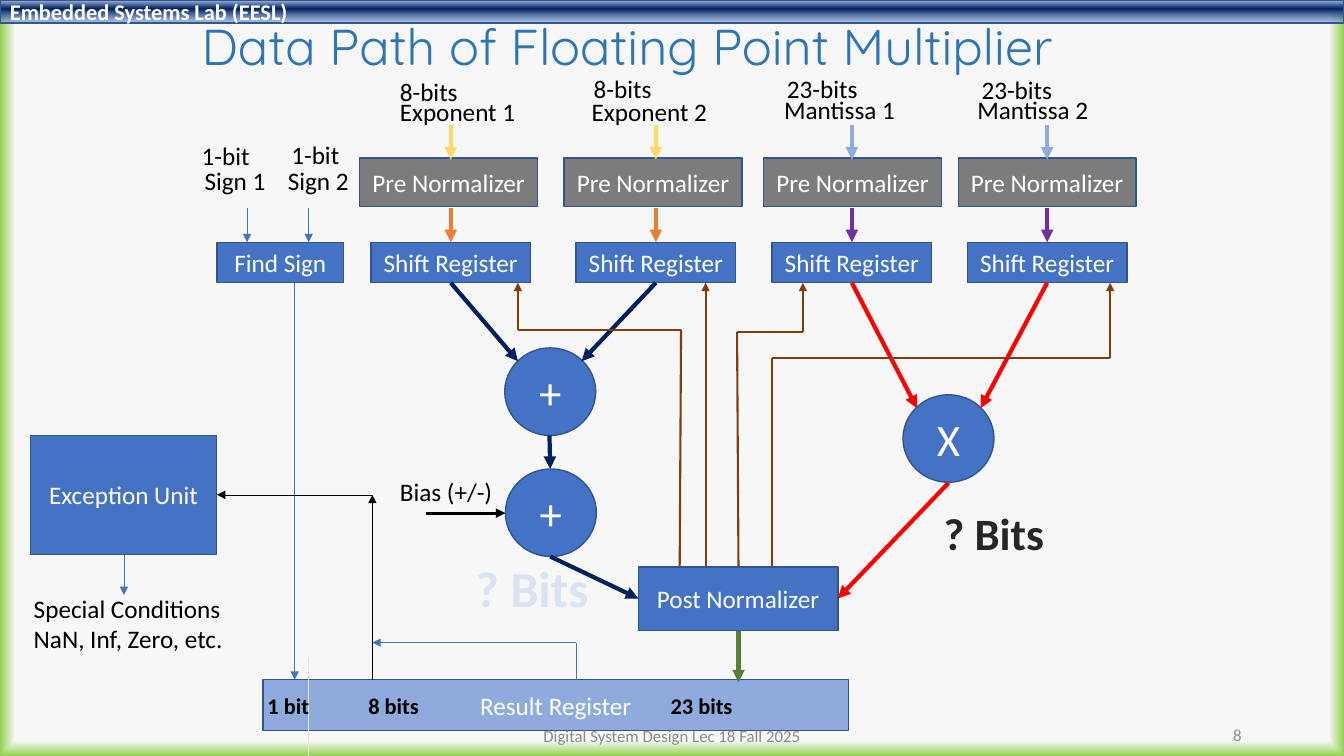
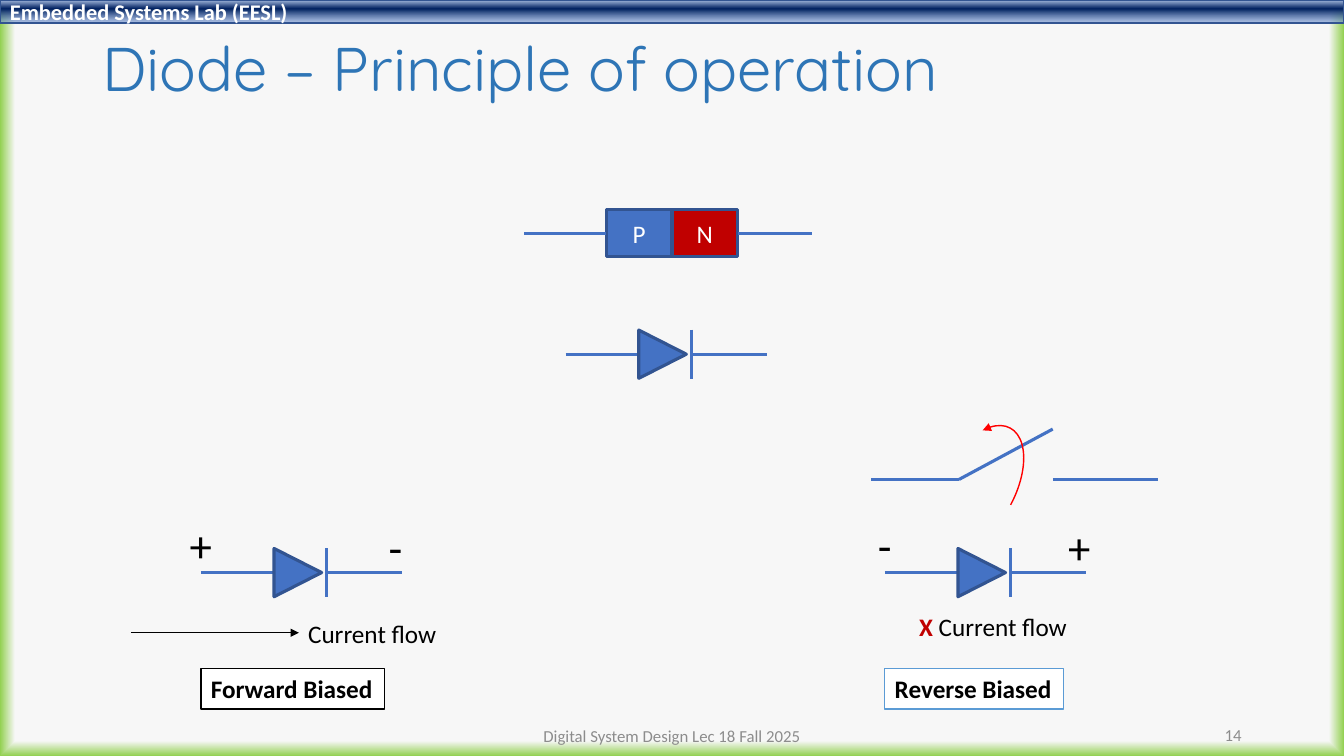
from itertools import pairwise
from typing import NamedTuple

from lxml import etree
from pptx import Presentation
from pptx.dml.color import RGBColor
from pptx.enum.shapes import MSO_CONNECTOR, MSO_SHAPE
from pptx.enum.text import MSO_ANCHOR, PP_ALIGN
from pptx.oxml import parse_xml
from pptx.oxml.ns import nsdecls, qn
from pptx.util import Pt

WIDTH, HEIGHT = 960, 540
BODY_FONT, TITLE_FONT = "Calibri", "Quicksand"

BLACK = RGBColor(0x00, 0x00, 0x00)
WHITE = RGBColor(0xFF, 0xFF, 0xFF)
BLUE = RGBColor(0x44, 0x72, 0xC4)
OUTLINE = RGBColor(0x32, 0x54, 0x91)
TITLE_BLUE = RGBColor(0x2E, 0x75, 0xB6)
SKY = RGBColor(0x5B, 0x9B, 0xD5)
LIGHT_BLUE = RGBColor(0x8F, 0xAA, 0xDC)
PALE_BLUE = RGBColor(0xDA, 0xE3, 0xF3)
NAVY = RGBColor(0x00, 0x20, 0x60)
RED = RGBColor(0xFF, 0x00, 0x00)
DARK_RED = RGBColor(0xC0, 0x00, 0x00)
ORANGE = RGBColor(0xED, 0x7D, 0x31)
YELLOW = RGBColor(0xFF, 0xD9, 0x66)
PURPLE = RGBColor(0x70, 0x30, 0xA0)
GREEN = RGBColor(0x54, 0x82, 0x35)
BROWN = RGBColor(0x84, 0x3C, 0x0B)
GREY = RGBColor(0x7C, 0x7C, 0x7C)
FOOTER_GREY = RGBColor(0x8C, 0x8C, 0x8C)
PALE_GREY = RGBColor(0xE7, 0xE6, 0xE6)
CHARCOAL = RGBColor(0x26, 0x26, 0x26)

# Gradient stops: position in percent, colour, opacity in percent
BACKGROUND_STOPS = ((96, "F7F7F7", 100), (100, "92D050", 100))
BAND_STOPS = ((2, "ABC0E4", 100), (38, "002060", 100), (93, "7E9ED6", 64))
FROM_CENTRE = ('<a:path path="shape"><a:fillToRect l="50000" t="50000" '
               'r="50000" b="50000"/></a:path>')
DOWNWARDS = '<a:lin ang="5400000" scaled="0"/>'


class Operand(NamedTuple):
    """One operand column: where its blocks sit and how its arrows look."""
    centre: float
    normalizer_centre: float
    input_colour: RGBColor
    shift_colour: RGBColor


OPERANDS = (
    Operand(322, 320.5, YELLOW, ORANGE),
    Operand(468.5, 466.5, YELLOW, ORANGE),
    Operand(608.5, 609, LIGHT_BLUE, PURPLE),
    Operand(748, 748, LIGHT_BLUE, PURPLE),
)

DATA_PATH_LABELS = (
    ("Exponent 1", 278.5, 65.5), ("Exponent 2", 415.5, 65.5),
    ("Mantissa 1", 553, 63.5), ("Mantissa 2", 691, 64),
    ("8-bits", 278.5, 51), ("8-bits", 417, 49),
    ("23-bits", 555, 49), ("23-bits", 694, 49.5),
    ("Sign 1", 139, 114.5), ("Sign 2", 198.5, 114.5),
    ("1-bit", 137, 96.5), ("1-bit", 201, 96),
    ("Bias (+/-)", 278.5, 337),
    ("Special Conditions\nNaN, Inf, Zero, etc.", 17, 420),
)


def replace_solid_fill(element, stops, direction):
    """Put a gradient in the place of the first solid fill in element."""
    stop_xml = "".join(
        f'<a:gs pos="{position * 1000}"><a:srgbClr val="{colour}">'
        f'<a:alpha val="{opacity * 1000}"/></a:srgbClr></a:gs>'
        for position, colour, opacity in stops)
    gradient = parse_xml(f'<a:gradFill {nsdecls("a")} rotWithShape="1">'
                         f'<a:gsLst>{stop_xml}</a:gsLst>{direction}</a:gradFill>')
    solid = element.find(".//" + qn("a:solidFill"))
    solid.getparent().replace(solid, gradient)


def write(shape, text, size=18, colour=BLACK, align=PP_ALIGN.LEFT,
          bold=False, font=BODY_FONT, anchor=MSO_ANCHOR.MIDDLE):
    frame = shape.text_frame
    frame.word_wrap = True
    frame.vertical_anchor = anchor
    frame.text = text
    for paragraph in frame.paragraphs:
        paragraph.alignment = align
        paragraph.font.name = font
        paragraph.font.size = Pt(size)
        paragraph.font.bold = bold
        paragraph.font.color.rgb = colour


def add_label(shapes, text, left, top, width=170, height=29,
              anchor=MSO_ANCHOR.TOP, **style):
    label = shapes.add_textbox(Pt(left), Pt(top), Pt(width), Pt(height))
    write(label, text, anchor=anchor, **style)
    return label


def add_block(shapes, left, top, width, height, fill=BLUE, line=OUTLINE,
              line_width=1, kind=MSO_SHAPE.RECTANGLE):
    block = shapes.add_shape(kind, Pt(left), Pt(top), Pt(width), Pt(height))
    block.shadow.inherit = False
    block.fill.solid()
    block.fill.fore_color.rgb = fill
    block.line.color.rgb = line
    block.line.width = Pt(line_width)
    return block


def add_unit(shapes, text, left, top, width, height, size=18, **look):
    """Add a block with centred white text that may use its whole area."""
    unit = add_block(shapes, left, top, width, height, **look)
    frame = unit.text_frame
    frame.margin_left = frame.margin_right = 0
    frame.margin_top = frame.margin_bottom = 0
    write(unit, text, size, WHITE, PP_ALIGN.CENTER)


def add_operator(shapes, text, left, top):
    add_unit(shapes, text, left, top, 65, 62.5, size=32, kind=MSO_SHAPE.OVAL)


def add_arrowhead(shape, end="a:tailEnd"):
    line = shape.line._get_or_add_ln()
    etree.SubElement(line, qn(end), type="triangle")


def add_wire(shapes, *points, colour=BLUE, width=2.25, arrow=False):
    """Join the points by straight lines; an arrow goes on the last one."""
    for (x1, y1), (x2, y2) in pairwise(points):
        wire = shapes.add_connector(MSO_CONNECTOR.STRAIGHT,
                                    Pt(x1), Pt(y1), Pt(x2), Pt(y2))
        wire.line.color.rgb = colour
        wire.line.width = Pt(width)
        etree.SubElement(wire._element.spPr, qn("a:effectLst"))
    if arrow:
        add_arrowhead(wire)


def add_arrow(shapes, *points, colour=BLUE, width=3):
    add_wire(shapes, *points, colour=colour, width=width, arrow=True)


def add_diode(shapes, left, middle):
    bar = left + 90
    add_wire(shapes, (left, middle), (left + 53, middle))
    triangle = add_block(shapes, left + 52, middle - 17, 34.5, 34,
                         line_width=2.25, kind=MSO_SHAPE.ISOSCELES_TRIANGLE)
    triangle.rotation = 90
    add_wire(shapes, (bar, middle - 17.5), (bar, middle + 17.5))
    add_wire(shapes, (bar, middle), (left + 144, middle))


def add_biased_diode(slide, left, signs, caption, caption_width, caption_line):
    shapes = slide.shapes.add_group_shape().shapes
    for sign, offset, top in zip(signs, (-19, 120), (370, 371.5)):
        add_label(shapes, sign, left + offset, top, 38, 37.5, size=32,
                  align=PP_ALIGN.CENTER, anchor=MSO_ANCHOR.MIDDLE)
    add_diode(shapes, left, 409)
    box = add_block(shapes, left, 477.5, caption_width, 29, WHITE, caption_line)
    write(box, caption, bold=True)
    return shapes


def start_slide(presentation, title, left, top, width, height, size):
    slide = presentation.slides.add_slide(presentation.slide_layouts[6])
    slide.background.fill.solid()
    replace_solid_fill(slide._element, BACKGROUND_STOPS, FROM_CENTRE)
    band = add_block(slide.shapes, 0, 0, WIDTH, 16.5)
    replace_solid_fill(band._element.spPr, BAND_STOPS, DOWNWARDS)
    write(band, "Embedded Systems Lab (EESL)", 16, WHITE, bold=True)
    heading = add_label(slide.shapes, title, left, top, width, height, size=size,
                        colour=TITLE_BLUE, font=TITLE_FONT,
                        anchor=MSO_ANCHOR.MIDDLE)
    heading.text_frame.paragraphs[0].line_spacing = 0.9
    return slide


def add_footer(slide, number):
    style = dict(size=12, colour=FOOTER_GREY, anchor=MSO_ANCHOR.MIDDLE)
    add_label(slide.shapes, number, 678, 510.5, 216, align=PP_ALIGN.RIGHT, **style)
    add_label(slide.shapes, "Digital System Design Lec 18 Fall 2025",
              318, 511, 324, align=PP_ALIGN.CENTER, **style)


def add_operand(shapes, operand):
    x = operand.centre
    add_unit(shapes, "Shift Register", x - 57, 173, 114, 29)
    add_arrow(shapes, (x, 148.5), (x, 173), colour=operand.shift_colour)
    add_unit(shapes, "Pre Normalizer", operand.normalizer_centre - 63.5, 113,
             127, 34.5, fill=GREY)
    add_arrow(shapes, (x, 89.5), (x, 114), colour=operand.input_colour)


def build_data_path(presentation):
    slide = start_slide(presentation, "Data Path of Floating Point Multiplier",
                        137, 16.5, 735, 37, 36)
    shapes = slide.shapes
    for text, left, top in DATA_PATH_LABELS:
        add_label(shapes, text, left, top)
    for operand in OPERANDS:
        add_operand(shapes, operand)

    add_unit(shapes, "Find Sign", 155, 173, 90.5, 29)
    add_unit(shapes, "Exception Unit", 22, 311, 132.5, 85)
    add_unit(shapes, "Post Normalizer", 456, 405, 142.5, 45.5)
    add_unit(shapes, "Result Register", 188, 485.5, 418, 36.5, fill=LIGHT_BLUE)
    for text, left, top in (("+", 360.5, 248.5), ("+", 361, 335), ("X", 645, 282)):
        add_operator(shapes, text, left, top)

    exponent_1, exponent_2, mantissa_1, mantissa_2 = (o.centre for o in OPERANDS)
    for start, end, colour in (
            ((exponent_1, 202), (370, 258), NAVY),
            ((exponent_2, 202), (415.5, 258), NAVY),
            ((392.5, 311), (393, 335), NAVY),
            ((393, 397.5), (456, 427.5), NAVY),
            ((mantissa_1, 202), (655, 291.5), RED),
            ((mantissa_2, 202), (700.5, 291.5), RED),
            ((677.5, 345), (598.5, 427.5), RED),
            ((527.5, 450.5), (527.5, 487.5), GREEN)):
        add_arrow(shapes, start, end, colour=colour)
    add_arrow(shapes, (304.5, 366.5), (361, 366.5), colour=BLACK, width=2.25)

    for feedback in (
            ((485.5, 405), (486.5, 235.5), (370, 235.5), (370, 202)),
            ((504, 405), (504, 202)),
            ((527.5, 405), (526.5, 237), (573.5, 237), (573.5, 202)),
            ((551.5, 405), (551.5, 255.5), (793, 255.5), (793, 202))):
        add_arrow(shapes, *feedback, colour=BROWN, width=1.5)

    for thin in (((176.5, 148.5), (176.5, 173)), ((220.5, 148.5), (220.5, 173)),
                 ((210.5, 202), (210.5, 485.5)), ((88.5, 396.5), (88.5, 425)),
                 ((411.5, 485.5), (411.5, 459), (266, 459))):
        add_arrow(shapes, *thin, width=0.5)
    add_arrow(shapes, (266, 485.5), (266, 353.5), colour=BLACK, width=0.5)
    add_arrow(shapes, (266, 353.5), (155, 353.5), colour=BLACK, width=0.5)
    add_wire(shapes, (220.5, 470), (220.5, HEIGHT), colour=PALE_GREY, width=0.5)

    add_label(shapes, "? Bits", 663, 358, 94, 46, size=32, colour=CHARCOAL,
              bold=True, align=PP_ALIGN.CENTER)
    add_label(shapes, "? Bits", 327, 394.5, 106, 51, size=36, colour=PALE_BLUE,
              bold=True, align=PP_ALIGN.CENTER)
    for text, left in (("1 bit", 184), ("8 bits", 256), ("23 bits", 472)):
        add_label(shapes, text, left, 490.5, 80, 26.5, size=16, bold=True)
    add_footer(slide, "8")


def add_open_switch(shapes):
    add_wire(shapes, (622.5, 342.5), (685, 342.5), (752, 306.5))
    add_wire(shapes, (752, 342.5), (827, 342.5))
    swing = add_block(shapes, 672.5, 300, 52.5, 96.5, line=RED, kind=MSO_SHAPE.ARC)
    swing.fill.background()
    swing.adjustments[0] = 147.73
    swing.adjustments[1] = 0
    swing.rotation = 28.2
    add_arrowhead(swing, "a:headEnd")


def build_diode(presentation):
    slide = start_slide(presentation, "Diode – Principle of operation",
                        66, 23.5, 828, 55, 44)
    junction = slide.shapes.add_group_shape().shapes
    for text, left, fill in (("P", 433, BLUE), ("N", 480, DARK_RED)):
        add_unit(junction, text, left, 149.5, 47, 34, fill=fill, line_width=2.25)
    add_wire(junction, (433, 166.5), (374.5, 166.5))
    add_wire(junction, (527, 166.5), (580, 166.5))
    add_diode(slide.shapes.add_group_shape().shapes, 404, 253)

    forward = add_biased_diode(slide, 143.5, "+-", "Forward Biased", 131, BLACK)
    add_arrow(forward, (93.5, 452), (213.5, 452), colour=BLACK, width=0.5)
    add_label(forward, "Current flow", 213, 438, 120)

    reverse = add_biased_diode(slide, 632, "-+", "Reverse Biased", 127.5, SKY)
    blocked = add_label(reverse, "X", 649.5, 433, 130, colour=DARK_RED, bold=True)
    flow = blocked.text_frame.paragraphs[0].add_run()
    flow.text = " Current flow"
    flow.font.bold = False
    flow.font.color.rgb = BLACK

    add_open_switch(slide.shapes)
    add_footer(slide, "14")


def main():
    presentation = Presentation()
    presentation.slide_width = Pt(WIDTH)
    presentation.slide_height = Pt(HEIGHT)
    build_data_path(presentation)
    build_diode(presentation)
    presentation.save("out.pptx")


if __name__ == "__main__":
    main()
